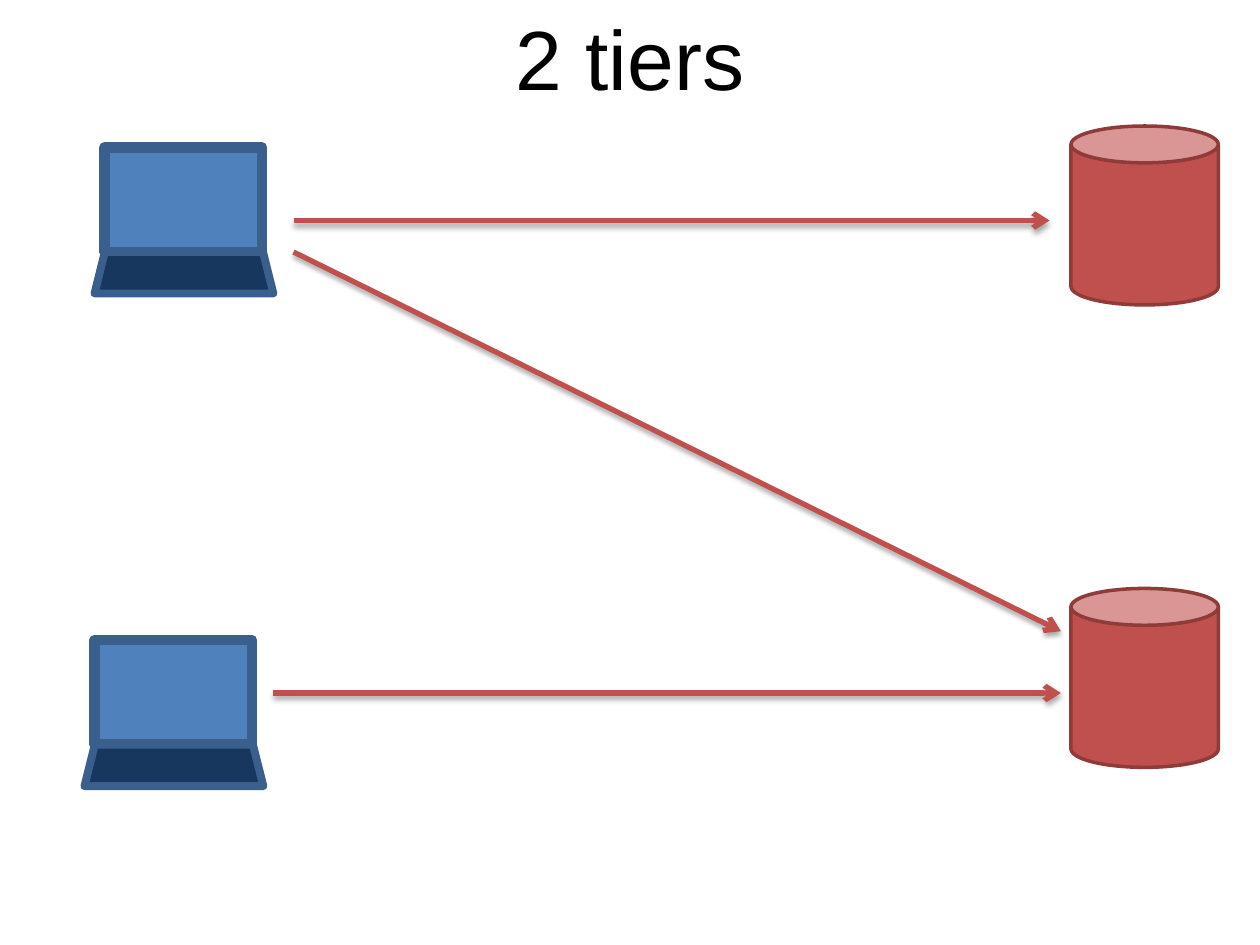
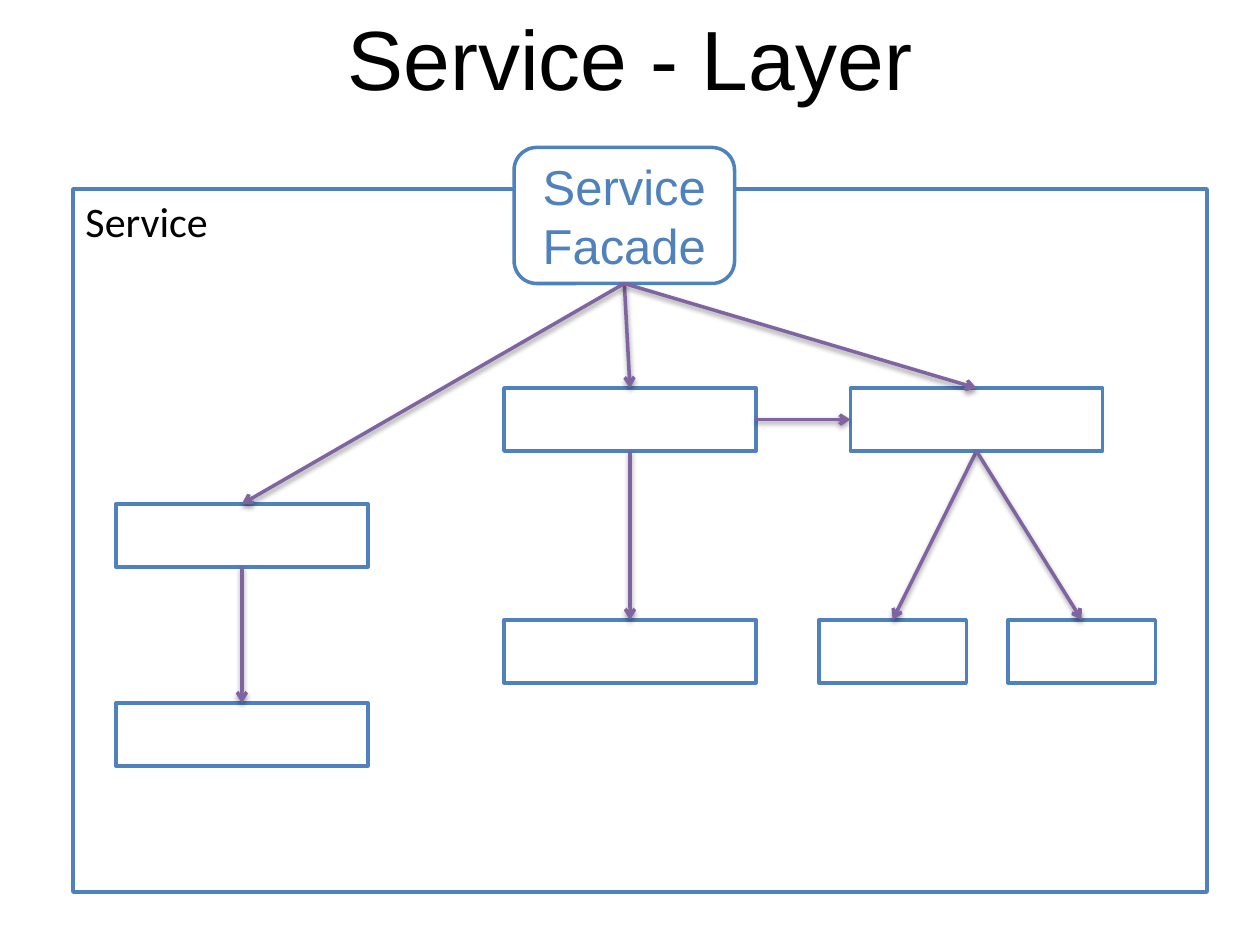
from lxml.etree import SubElement
from pptx import Presentation
from pptx.dml.color import RGBColor
from pptx.enum.shapes import MSO_CONNECTOR, MSO_SHAPE
from pptx.enum.text import MSO_ANCHOR, MSO_AUTO_SIZE, PP_ALIGN
from pptx.oxml.ns import qn
from pptx.util import Inches, Pt

HUES = {
    "black": "000000", "white": "FFFFFF",
    "blue": "4F81BD", "edge": "3A5F8C", "navy": "17375E",
    "red": "C0504D", "rim": "8E3B39", "purple": "8064A2",
}


def box(shapes, kind, at, fill, line, width):
    shape = shapes.add_shape(kind, *map(Inches, at))
    shape.shadow.inherit = False
    if fill:
        shape.fill.solid()
        shape.fill.fore_color.rgb = RGBColor.from_string(HUES[fill])
    else:
        shape.fill.background()
    shape.line.color.rgb = RGBColor.from_string(HUES[line])
    shape.line.width = Pt(width)
    return shape


def arrow(slide, ends, hue, width, alpha, dist):
    link = slide.shapes.add_connector(MSO_CONNECTOR.STRAIGHT, *map(Inches, ends))
    link.line.color.rgb = RGBColor.from_string(HUES[hue])
    link.line.width = Pt(width)
    props = link._element.spPr
    SubElement(props.find(qn("a:ln")), qn("a:tailEnd"), type="arrow")
    # Soft shadow straight below the line
    glow = SubElement(SubElement(props, qn("a:effectLst")), qn("a:outerShdw"),
                      blurRad=str(Pt(3.1)), dist=str(Pt(dist)),
                      dir="5400000", rotWithShape="0")
    shade = SubElement(glow, qn("a:srgbClr"), val=HUES["black"])
    SubElement(shade, qn("a:alpha"), val=str(alpha * 1000))
    return link


deck = Presentation()
deck.slide_width, deck.slide_height = Inches(10), Inches(7.5)

# Slides and titles
slides, texts = [], []
for title in ("2 tiers", "Service - Layer"):
    slide = deck.slides.add_slide(deck.slide_layouts[6])
    frame = slide.shapes.add_textbox(0, 0, Inches(10), Inches(0.91)).text_frame
    frame.word_wrap = True
    frame.auto_size = MSO_AUTO_SIZE.SHAPE_TO_FIT_TEXT
    texts.append((frame, [title], 48, "Arial", "black", PP_ALIGN.CENTER))
    slides.append(slide)
tiers, layer = slides

# Laptops: screen above keyboard
for x, y in ((0.75, 1.17), (0.67, 5.08)):
    laptop = tiers.shapes.add_group_shape().shapes
    box(laptop, MSO_SHAPE.RECTANGLE, (x + 0.08, y, 1.25, 0.83), "blue", "edge", 6)
    keys = box(laptop, MSO_SHAPE.TRAPEZOID, (x, y + 0.83, 1.42, 0.33),
               "navy", "edge", 4.5)
    keys.adjustments[0] = 0.25

# Databases
for y in (1, 4.67):
    box(tiers.shapes, MSO_SHAPE.CAN, (8.5, y, 1.17, 1.42), "red", "rim", 2)

# Calls from laptops to databases
for ends in ((2.33, 1.75, 8.33, 1.75), (2.33, 2, 8.42, 5.01),
             (2.17, 5.5, 8.42, 5.5)):
    arrow(tiers, ends, "red", 3, 35, 1.8)

# Service border and facade
box(layer.shapes, MSO_SHAPE.RECTANGLE, (0.58, 1.5, 9, 5.58), None, "blue", 2)
facade = box(layer.shapes, MSO_SHAPE.ROUNDED_RECTANGLE, (4.08, 1.17, 1.75, 1.08),
             "white", "blue", 2)
facade.text_frame.vertical_anchor = MSO_ANCHOR.MIDDLE
texts.append((facade.text_frame, ["Service", "Facade"], 28, "Arial", "blue",
              PP_ALIGN.CENTER))

# Parts of the service
parts = {"facade": facade}
for name, x, y, wide in (
    ("left", 0.92, 4, 2), ("mid", 4, 3.08, 2), ("right", 6.75, 3.08, 2),
    ("left end", 0.92, 5.58, 2), ("mid end", 4, 4.92, 2),
    ("right one", 6.5, 4.92, 1.17), ("right two", 8, 4.92, 1.17),
):
    parts[name] = box(layer.shapes, MSO_SHAPE.RECTANGLE, (x, y, wide, 0.5),
                      "white", "blue", 2)

# Calls between parts, from bottom to top unless sides are given
for start, stop, *sides in (
    ("facade", "mid"), ("facade", "left"), ("facade", "right"),
    ("left", "left end"), ("mid", "mid end"),
    ("right", "right one"), ("right", "right two"),
    ("mid", "right", 3, 1),
):
    out, into = sides or (2, 0)
    link = arrow(layer, (0, 0, 0, 0), "purple", 2, 38, 1.6)
    link.begin_connect(parts[start], out)
    link.end_connect(parts[stop], into)

# Service label
label = layer.shapes.add_textbox(*map(Inches, (0.58, 1.5, 1.19, 0.5))).text_frame
label.word_wrap = False
label.auto_size = MSO_AUTO_SIZE.SHAPE_TO_FIT_TEXT
texts.append((label, ["Service"], 24, "Calibri", "black", PP_ALIGN.LEFT))

# Wording
for frame, lines, size, face, hue, align in texts:
    para = frame.paragraphs[0]
    para.alignment = align
    for row, line in enumerate(lines):
        if row:
            para.add_line_break()
        run = para.add_run()
        run.text = line
        run.font.size = Pt(size)
        run.font.name = face
        run.font.color.rgb = RGBColor.from_string(HUES[hue])

deck.save("out.pptx")
